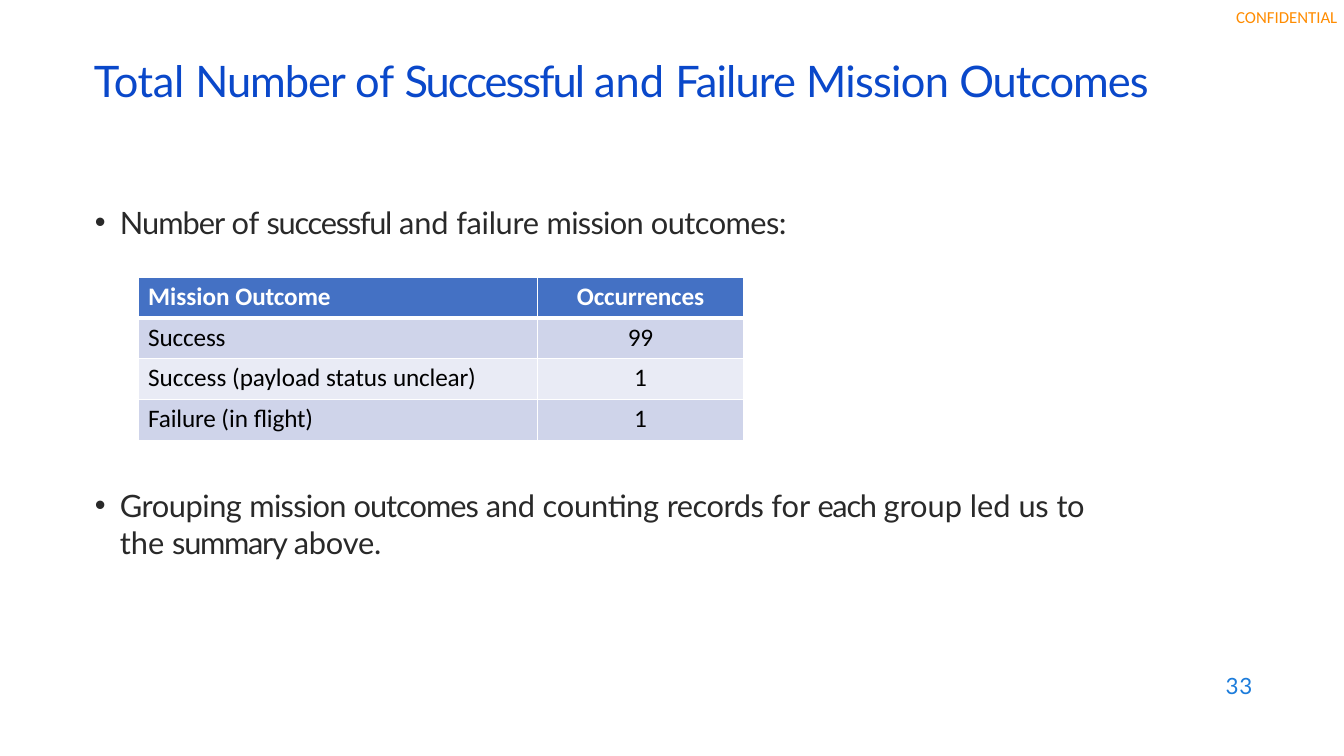
from lxml.etree import SubElement
from pptx import Presentation
from pptx.dml.color import RGBColor
from pptx.enum.text import MSO_ANCHOR as Anchor, MSO_AUTO_SIZE as AutoSize, PP_ALIGN as Align
from pptx.oxml.ns import qn
from pptx.util import Inches, Pt

GRID_COLUMNS, GRID_ROWS = 40, 30
LEFT_EDGE = 2.79

# Text formats
TITLE = {"name": "Lato", "size": Pt(31), "color": "0A48CA"}
BULLET = {"name": "Lato", "size": Pt(22), "color": "292929"}
PAGE = {"name": "Lato", "size": Pt(16), "color": "1C7CDB"}
LABEL = {"name": "Calibri", "size": Pt(12), "color": "FF8C00"}
HEADER = {"name": "Calibri", "size": Pt(18), "bold": True, "color": "FFFFFF"}
RECORD = HEADER | {"bold": False, "color": "000000"}

# Wording, as (text, letter spacing in points)
HEADLINE = [("Total ", -0.2), ("Number ", -0.7), ("of ", 0), ("Successful ", -1.4),
            ("and ", 0), ("Failure ", -0.6), ("Mission ", -0.5), ("Outcomes", -0.7)]
QUESTION = [("Number ", -0.7), ("of ", 0), ("successful ", -0.9), ("and ", -0.1),
            ("failure ", -0.2), ("mission", -0.5), (" outcomes:", -0.4)]
EXPLANATION = [("Grouping ", -0.3), ("mission ", -0.5), ("outcomes ", -0.7),
               ("and counting ", -0.1), ("records ", -0.3), ("for ", 0), ("each ", -0.9),
               ("group led ", 0), ("us ", -0.1), ("to ", -0.2), ("the ", 0),
               ("summary ", -0.9), ("above.", -0.1)]
OUTCOMES = [
    ([("Mission ", 0), ("Outcome", -0.1)], [("Occurrences", -0.1)]),
    ([("Success", -0.1)], [("99", -0.2)]),
    ([("Success (payload status ", 0), ("unclear)", -0.1)], [("1", -0.5)]),
    ([("Failure ", -0.1), ("(in ", 0), ("flight)", -0.1)], [("1", -0.5)]),
]


def rgb(value):
    return RGBColor.from_string(value)


class SlideBuilder:
    def __init__(self, deck, layout_index):
        self.column = deck.slide_width / GRID_COLUMNS
        self.row = deck.slide_height / GRID_ROWS
        self.slide = deck.slides.add_slide(deck.slide_layouts[layout_index])

    def box(self, left, top, width, height):
        return (int(left * self.column), int(top * self.row),
                int(width * self.column), int(height * self.row))

    def add_runs(self, paragraph, pieces, style, align=Align.LEFT):
        paragraph.alignment = align
        paragraph.space_before = Pt(0)
        for text, spacing in pieces:
            run = paragraph.add_run()
            run.text = text
            for key, value in style.items():
                if key == "color":
                    run.font.color.rgb = rgb(value)
                else:
                    setattr(run.font, key, value)
            run._r.get_or_add_rPr().set("spc", str(round(spacing * 100)))

    def fit_frame(self, frame, top_inset=0):
        settings = {"margin_left": 0, "margin_right": 0, "margin_bottom": 0,
                    "margin_top": int(top_inset * self.row), "word_wrap": True,
                    "auto_size": AutoSize.NONE, "vertical_anchor": Anchor.TOP}
        for key, value in settings.items():
            setattr(frame, key, value)
        return frame.paragraphs[0]

    def placeholder(self, index, place, pieces, style, top_inset, bulleted=False):
        holder = self.slide.placeholders[index]
        holder.left, holder.top, holder.width, holder.height = self.box(*place)
        paragraph = self.fit_frame(holder.text_frame, top_inset)
        if bulleted:
            properties = paragraph._p.get_or_add_pPr()
            properties.set("marL", str(Inches(0.26)))
            properties.set("indent", str(Inches(-0.25)))
            SubElement(properties, qn("a:buFont"), typeface="Arial")
            SubElement(properties, qn("a:buChar"), char="•")
        self.add_runs(paragraph, pieces, style)

    def text(self, place, pieces, style, line_spacing=None):
        frame = self.slide.shapes.add_textbox(*self.box(*place)).text_frame
        paragraph = self.fit_frame(frame)
        paragraph.line_spacing = line_spacing
        self.add_runs(paragraph, pieces, style)

    def borders(self, cell, widths):
        properties = cell._tc.get_or_add_tcPr()
        for side, width in widths.items():
            line = SubElement(properties, qn(f"a:ln{side}"), w=str(Pt(width)))
            fill = SubElement(line, qn("a:solidFill"))
            SubElement(fill, qn("a:srgbClr"), val="FFFFFF")

    def table(self, left, top, column_widths, height, records):
        place = self.box(left, top, sum(column_widths), height)
        grid = self.slide.shapes.add_table(len(records), len(column_widths), *place).table
        for column, width in zip(grid.columns, column_widths):
            column.width = int(width * self.column)
        for r, record in enumerate(records):
            fill = "4471C4" if r == 0 else ("E9EBF5", "CFD4EA")[r % 2]
            for c, pieces in enumerate(record):
                cell = grid.cell(r, c)
                cell.margin_left = int(0.3 * self.column) if c == 0 else 0
                cell.margin_right = cell.margin_bottom = 0
                cell.margin_top = int(0.16 * self.row)
                self.borders(cell, {"L": 1, "R": 1, "T": 3 if r == 1 else 1,
                                    "B": 3 if r == 0 else 1})
                cell.fill.solid()
                cell.fill.fore_color.rgb = rgb(fill)
                self.add_runs(cell.text_frame.paragraphs[0], pieces,
                              RECORD if r else HEADER, Align.CENTER if c else Align.LEFT)


def main():
    deck = Presentation()
    deck.slide_width, deck.slide_height = Inches(13.33), Inches(7.5)
    page = SlideBuilder(deck, layout_index=3)

    # Confidentiality label
    page.text((36.79, 0.28, 3.15, 0.8), [("CONFIDENTIAL", 0)], LABEL)

    # Title and the two bullets
    page.placeholder(0, (LEFT_EDGE, 1.84, 32.56, 3.24), HEADLINE, TITLE, 0.32)
    page.placeholder(1, (LEFT_EDGE, 8.04, 21, 1.56), QUESTION, BULLET, 0.04, bulleted=True)
    page.placeholder(2, (LEFT_EDGE, 19.28, 30.04, 3.04), EXPLANATION, BULLET, 0.04, bulleted=True)

    # Outcome counts
    page.table(4.11, 11, (11.88, 6.15), 6.48, OUTCOMES)

    # Page number
    page.text((36.48, 26.72, 1, 1.12), [("33", 0.5)], PAGE, Pt(18.4))

    deck.save("out.pptx")


if __name__ == "__main__":
    main()
